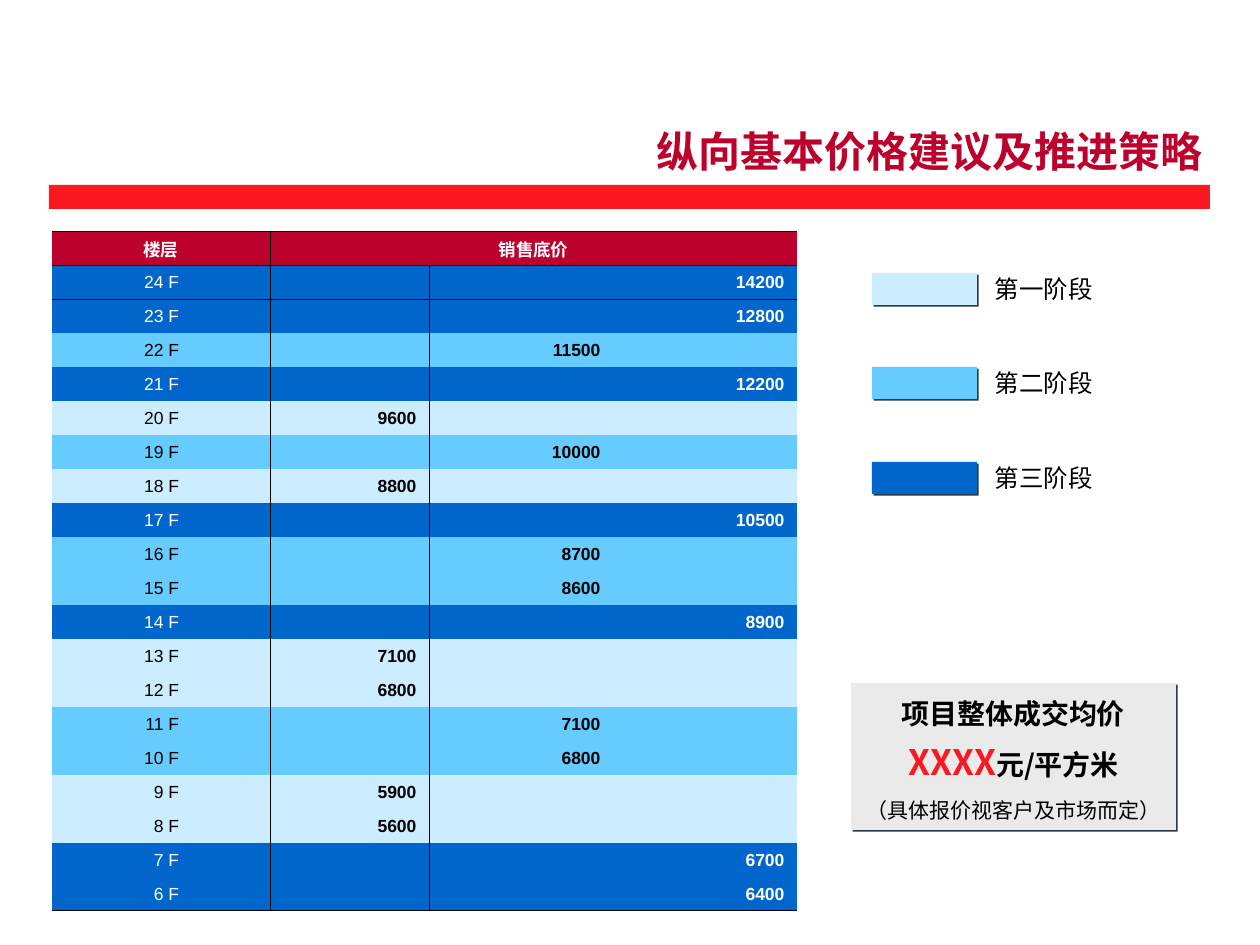
from lxml import etree
from pptx import Presentation
from pptx.dml.color import RGBColor
from pptx.enum.shapes import MSO_SHAPE
from pptx.enum.text import MSO_ANCHOR, PP_ALIGN
from pptx.oxml import parse_xml
from pptx.oxml.ns import nsdecls, qn
from pptx.util import Pt

RECT = MSO_SHAPE.RECTANGLE
MIDDLE, BOTTOM, TOP = MSO_ANCHOR.MIDDLE, MSO_ANCHOR.BOTTOM, MSO_ANCHOR.TOP
LEFT, CENTER, RIGHT = PP_ALIGN.LEFT, PP_ALIGN.CENTER, PP_ALIGN.RIGHT
LATIN, CJK = "Arial", "Noto Sans CJK SC"
NO_GRID = "{2D5ABB26-0587-4C30-8999-92F81FD0307C}"

COLORS = {
    "red": "FB1821", "crimson": "BB012C", "stage1": "CCECFF",
    "stage2": "66CCFF", "stage3": "0066CC", "panel": "EAEAEA",
    "shadow": "2C3A44", "black": "000000", "white": "FFFFFF",
}

TITLE = "纵向基本价格建议及推进策略"
HEADERS = ["楼层", "销售底价"]
FLOORS = [
    (24, 3, 14200), (23, 3, 12800), (22, 2, 11500), (21, 3, 12200),
    (20, 1, 9600), (19, 2, 10000), (18, 1, 8800), (17, 3, 10500),
    (16, 2, 8700), (15, 2, 8600), (14, 3, 8900), (13, 1, 7100),
    (12, 1, 6800), (11, 2, 7100), (10, 2, 6800), (9, 1, 5900),
    (8, 1, 5600), (7, 3, 6700), (6, 3, 6400),
]
STAGES = ["第一阶段", "第二阶段", "第三阶段"]
SUMMARY = [
    (23, 0, [("项目整体成交均价", 16, "black", True)]),
    (30, 0, [("XXXX", 20, "red", True), ("元/平方米", 16, "black", True)]),
    (18, 5, [("（具体报价视客户及市场而定）", 12, "black", False)]),
]
COL_WIDTHS = [218, 159, 184, 184]
ROW_HEIGHT = 34
FLOOR_INSET = 91


def px(n):
    return round(n * 914400 / 126)


def rgb(name):
    return RGBColor.from_string(COLORS[name])


def add_run(p, text, size, color, bold=False, font=LATIN):
    r = p.add_run()
    r.text = text
    for key, value in {"name": font, "size": Pt(size), "bold": bold}.items():
        setattr(r.font, key, value)
    r.font.color.rgb = rgb(color)
    ea = etree.SubElement(r.font._element, qn("a:ea"))
    ea.set("typeface", CJK)


def add_rect(slide, box, color, shadow=False):
    sp = slide.shapes.add_shape(RECT, *map(px, box))
    sp.shadow.inherit = False
    sp.fill.solid()
    sp.fill.fore_color.rgb = rgb(color)
    sp.line.fill.background()
    if shadow:
        effects = sp._element.spPr.find(qn("a:effectLst"))
        effects.append(parse_xml(
            f'<a:outerShdw {nsdecls("a")} blurRad="0" dist="17961" dir="2700000" '
            f'algn="ctr" rotWithShape="0"><a:srgbClr val="{COLORS["shadow"]}"/>'
            "</a:outerShdw>"))
    return sp


def add_label(slide, box, text, size, color, bold, align, anchor, wrap):
    tf = slide.shapes.add_textbox(*map(px, box)).text_frame
    tf.word_wrap, tf.vertical_anchor = wrap, anchor
    p = tf.paragraphs[0]
    p.alignment = align
    add_run(p, text, size, color, bold)
    return p


def format_cell(cell, fill, sides):
    tc_pr = cell._tc.get_or_add_tcPr()
    for side in sides:
        tc_pr.append(parse_xml(
            f'<a:ln{side} {nsdecls("a")} w="5715"><a:solidFill>'
            f'<a:srgbClr val="{COLORS["black"]}"/></a:solidFill></a:ln{side}>'))
    cell.fill.solid()
    cell.fill.fore_color.rgb = rgb(fill)
    cell.vertical_anchor = BOTTOM
    cell.text_frame.paragraphs[0]._p.get_or_add_endParaRPr().set("sz", "1000")


def write_cell(cell, text, color, bold, align, font=LATIN):
    p = cell.text_frame.paragraphs[0]
    p.alignment = align
    add_run(p, text, 10, color, bold, font)


def add_price_table(slide):
    n_rows, n_cols = len(FLOORS) + 1, len(COL_WIDTHS)
    box = (52, 231, sum(COL_WIDTHS), n_rows * ROW_HEIGHT)
    table = slide.shapes.add_table(n_rows, n_cols, *map(px, box)).table
    table.first_row = table.horz_banding = False
    table._tbl.tblPr.find(qn("a:tableStyleId")).text = NO_GRID
    for col, width in zip(table.columns, COL_WIDTHS):
        col.width = px(width)
    for row in table.rows:
        row.height = px(ROW_HEIGHT)

    fills = ["crimson"] + [f"stage{stage}" for _, stage, _ in FLOORS]
    for i, fill in enumerate(fills):
        for j in range(n_cols):
            drawn = {"L": j == 1, "R": j == 0, "T": i < 2,
                     "B": i in (0, n_rows - 1)}
            format_cell(table.cell(i, j), fill, [s for s in drawn if drawn[s]])

    table.cell(0, 1).merge(table.cell(0, n_cols - 1))
    for j, text in enumerate(HEADERS):
        cell = table.cell(0, j)
        cell.margin_top = cell.margin_bottom = px(3)
        write_cell(cell, text, "white", True, CENTER, CJK)
    for i, (floor, stage, price) in enumerate(FLOORS, 1):
        color = "white" if stage == 3 else "black"
        cell = table.cell(i, 0)
        cell.margin_right = px(FLOOR_INSET)
        write_cell(cell, f"{floor} F", color, False, RIGHT)
        write_cell(table.cell(i, stage), str(price), color, True, RIGHT)


def add_legend(slide):
    for i, text in enumerate(STAGES):
        top = 273 + i * 189 // 2
        add_rect(slide, (872, top, 105, 32), f"stage{i + 1}", True)
        add_label(slide, (976, top, 136, 32), text, 14, "black", False,
                  CENTER, MIDDLE, False)


def add_summary(slide):
    tf = add_rect(slide, (851, 683, 325, 147), "panel", True).text_frame
    tf.word_wrap, tf.vertical_anchor = False, MIDDLE
    for i, (spacing, before, runs) in enumerate(SUMMARY):
        p = tf.add_paragraph() if i else tf.paragraphs[0]
        p.alignment, p.line_spacing = CENTER, Pt(spacing)
        if before:
            p.space_before = Pt(before)
        for text, size, color, bold in runs:
            add_run(p, text, size, color, bold, CJK)


def main():
    prs = Presentation()
    prs.slide_width, prs.slide_height = px(1260), px(945)
    slide = prs.slides.add_slide(prs.slide_layouts[6])
    add_rect(slide, (49, 185, 1161, 24), "red")
    p = add_label(slide, (609, 115, 606, 63), TITLE, 24, "crimson", True,
                  RIGHT, TOP, True)
    p.line_spacing = Pt(31)
    add_price_table(slide)
    add_legend(slide)
    add_summary(slide)
    prs.save("out.pptx")


if __name__ == "__main__":
    main()
